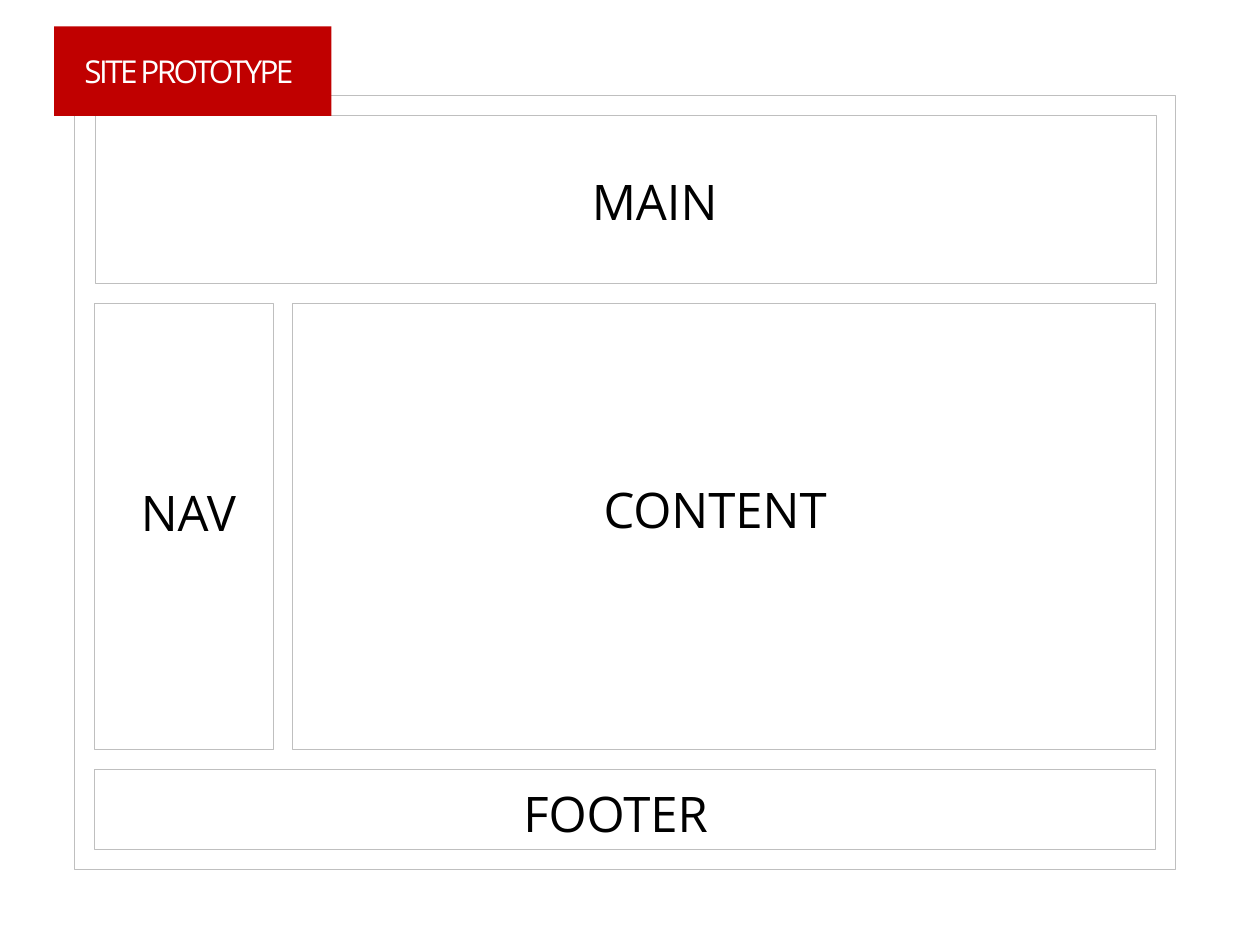
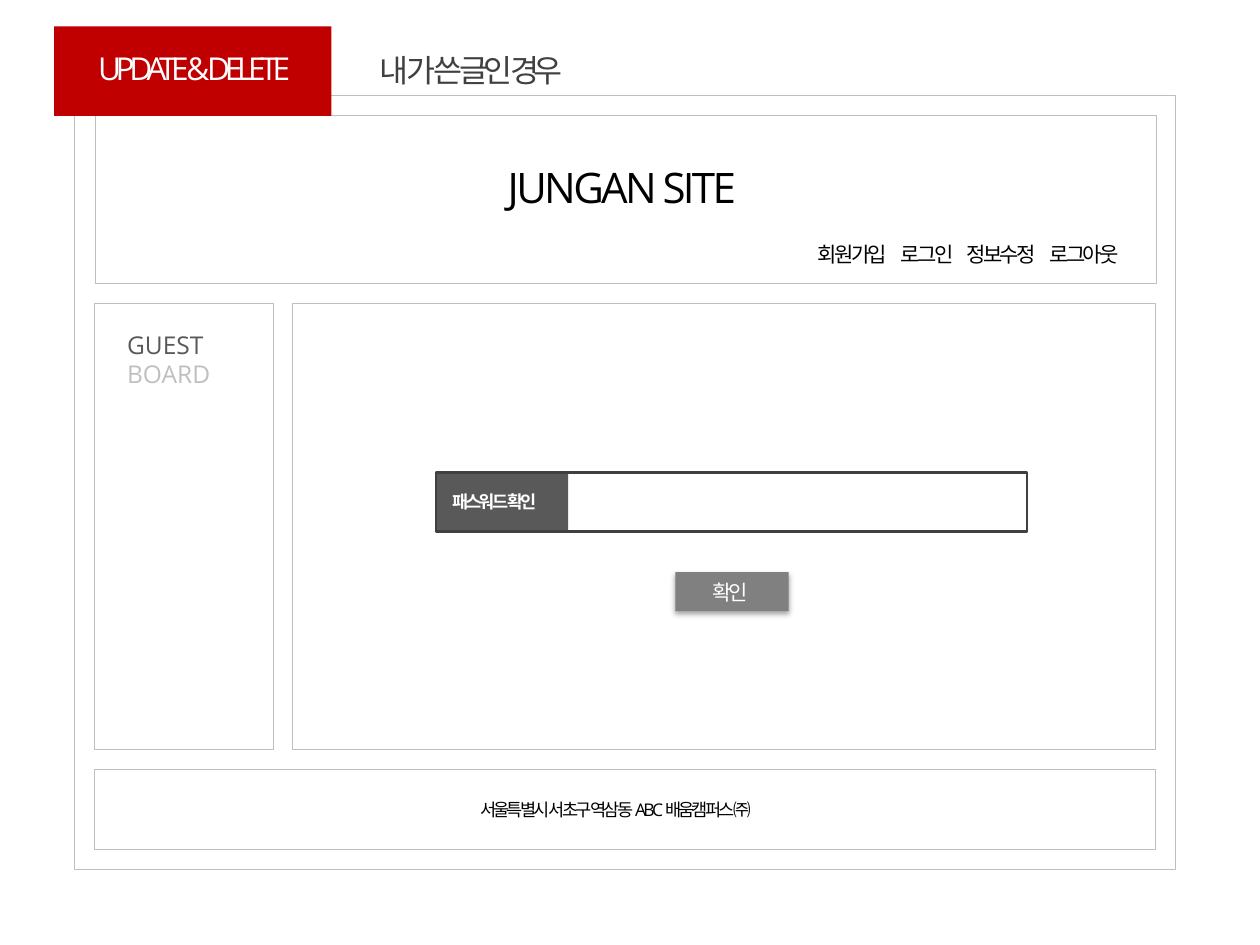
import pptx
import pptx.dml.color
import pptx.enum.shapes
import pptx.enum.text
import pptx.oxml
import pptx.oxml.ns
import pptx.util

Inches, Pt = pptx.util.Inches, pptx.util.Pt
ALIGN = pptx.enum.text.PP_ALIGN
FONT = "Open Sans"
COLORS = {"accent": "C00000", "frame": "BFBFBF", "text": "000000",
          "dark": "404040", "label": "595959", "button": "808080",
          "white": "FFFFFF"}

# Regions of the page as left, top, width, height in inches
TAB = (0.43, 0.21, 2.2, 0.71)
PAGE = (0.59, 0.76, 8.74, 6.14)
MAIN = (0.76, 0.92, 8.42, 1.33)
NAV = (0.75, 2.41, 1.42, 3.54)
CONTENT = (2.32, 2.41, 6.85, 3.54)
FOOTER = (0.75, 6.11, 8.42, 0.63)


def inside(box, dx, dy, w, h):
    """Return a box offset from the top left corner of another."""
    return box[0] + dx, box[1] + dy, w, h


def rgb(name):
    """Look up a colour by name."""
    return pptx.dml.color.RGBColor.from_string(COLORS[name])


def add_rect(shapes, box, fill=None, line=None, width=0.5):
    """Add a plain rectangle with an optional fill and outline."""
    s = shapes.add_shape(pptx.enum.shapes.MSO_SHAPE.RECTANGLE,
                         *map(Inches, box))
    s.shadow.inherit = False
    if fill:
        s.fill.solid()
        s.fill.fore_color.rgb = rgb(fill)
    else:
        s.fill.background()
    if line:
        s.line.color.rgb = rgb(line)
        s.line.width = Pt(width)
    else:
        s.line.fill.background()
    return s


def write(s, lines, size, align=ALIGN.CENTER, spacing=0, bold=False):
    """Write one paragraph for each (text, colour) pair into a shape."""
    tf = s.text_frame
    tf.word_wrap = True
    tf.vertical_anchor = pptx.enum.text.MSO_ANCHOR.TOP
    tf.auto_size = pptx.enum.text.MSO_AUTO_SIZE.SHAPE_TO_FIT_TEXT
    for i, (text, color) in enumerate(lines):
        p = tf.add_paragraph() if i else tf.paragraphs[0]
        p.alignment = align
        r = p.add_run()
        r.text = text
        r.font.size, r.font.name, r.font.bold = Pt(size), FONT, bold
        r.font.color.rgb = rgb(color)
        rPr = r.font._element
        rPr.set("spc", str(int(spacing * 100)))
        ea = pptx.oxml.parse_xml(
            f'<a:ea {pptx.oxml.ns.nsdecls("a")} typeface="{FONT}"/>')
        rPr.find(pptx.oxml.ns.qn("a:latin")).addnext(ea)


def add_text(shapes, box, text, size, color="text", **style):
    """Add a text box with a single line."""
    s = shapes.add_textbox(*map(Inches, box))
    write(s, [(text, color)], size, **style)
    return s


def add_tab(slide, box, title, dy, width, spacing):
    """Draw the red tab and put the slide title on top of it."""
    add_rect(slide.shapes, box, fill="accent")
    s = slide.shapes.title
    s.left, s.top, s.width, s.height = map(
        Inches, inside(box, -0.23, dy, width, 0.4))
    write(s, [(title, "white")], 18, spacing=spacing)
    s.element.getparent().append(s.element)


def add_page(prs):
    """Add a slide with the framed regions of the site."""
    slide = prs.slides.add_slide(prs.slide_layouts[5])
    for box in (PAGE, MAIN, NAV, CONTENT, FOOTER):
        add_rect(slide.shapes, box, line="frame")
    return slide


def add_menu(shapes, box, items, stops):
    """Add the header menu, its items set on tab stops."""
    s = add_text(shapes, inside(box, 1.17, 0.95, 7.09, 0.3),
                 "\t".join(items), 12, align=ALIGN.LEFT, spacing=-1.5)
    s.text_frame.margin_left = Inches(4.56)
    tabs = "".join(f'<a:tab pos="{Inches(x)}" algn="l"/>' for x in stops)
    pPr = s.text_frame.paragraphs[0]._p.get_or_add_pPr()
    pPr.append(pptx.oxml.parse_xml(
        f'<a:tabLst {pptx.oxml.ns.nsdecls("a")}>{tabs}</a:tabLst>'))


def add_nav(shapes, box):
    """List the sections, with the current one darker."""
    s = shapes.add_textbox(*map(Inches, inside(box, 0.16, 0.16, 1.18, 0.81)))
    write(s, [("GUEST", "label"), ("BOARD", "frame")], 14, align=ALIGN.LEFT)


def add_button(shapes, box, text):
    """Add a grey button with a soft shadow below it."""
    s = add_rect(shapes, box, fill="button")
    effects = s._element.spPr.find(pptx.oxml.ns.qn("a:effectLst"))
    effects.append(pptx.oxml.parse_xml(
        f'<a:outerShdw {pptx.oxml.ns.nsdecls("a")} blurRad="{Pt(3.1)}" '
        f'dist="{Pt(1.8)}" dir="5400000" rotWithShape="0">'
        f'<a:srgbClr val="{COLORS["text"]}"><a:alpha val="35000"/>'
        '</a:srgbClr></a:outerShdw>'))
    add_text(shapes, inside(box, -0.05, 0.01, 0.97, 0.3), text, 12,
             "white", spacing=-1.5)


def add_field(shapes, box, label):
    """Add an input field with a dark label at its left end."""
    group = shapes.add_group_shape()
    add_rect(group.shapes, inside(box, 0, 0, 1.05, box[3]), fill="label")
    add_rect(group.shapes, box, line="dark", width=1.5)
    add_text(shapes, inside(box, 0.03, 0.1, 1.05, 0.27), label, 10,
             "white", align=ALIGN.LEFT, spacing=-1.5, bold=True)


def build_prototype(prs):
    """Build the slide that names each region."""
    slide = add_page(prs)
    for box, dx, dy, name in ((MAIN, 2.74, 0.39, "MAIN"),
                              (NAV, -0.95, 1.37, "NAV"),
                              (CONTENT, 1.66, 1.35, "CONTENT"),
                              (FOOTER, 2.44, 0.06, "FOOTER")):
        add_text(slide.shapes, inside(box, dx, dy, 3.39, 0.57), name, 28)
    add_tab(slide, TAB, "SITE PROTOTYPE", 0.15, 2.6, -1.5)


def build_update(prs):
    """Build the password check before an update or delete."""
    slide = add_page(prs)
    shapes = slide.shapes
    add_menu(shapes, MAIN, ["회원가입", "로그인", "정보수정", "로그아웃"],
             [0.66, 1.18, 1.84])
    add_nav(shapes, NAV)
    add_text(shapes, inside(FOOTER, 2.44, 0.18, 3.39, 0.27),
             "서울특별시 서초구 역삼동 ABC 배움캠퍼스 ㈜", 10, spacing=-1.5)
    add_text(shapes, inside(MAIN, 0.63, 0.31, 7.09, 0.5),
             "JUNGAN SITE", 24, spacing=-1.5)
    add_button(shapes, inside(CONTENT, 3.04, 2.13, 0.9, 0.31), "확인")
    add_tab(slide, TAB, "UPDATE & DELETE", 0.13, 2.68, -3)
    add_field(shapes, inside(CONTENT, 1.14, 1.34, 4.69, 0.47),
              "패스워드 확인")
    add_text(shapes, inside(TAB, 1.97, 0.15, 2.68, 0.4),
             "내 가 쓴 글인 경우", 18, "dark", spacing=-3)


prs = pptx.Presentation()
prs.slide_width, prs.slide_height = Inches(10), Inches(7.5)
build_prototype(prs)
build_update(prs)
prs.save("out.pptx")
